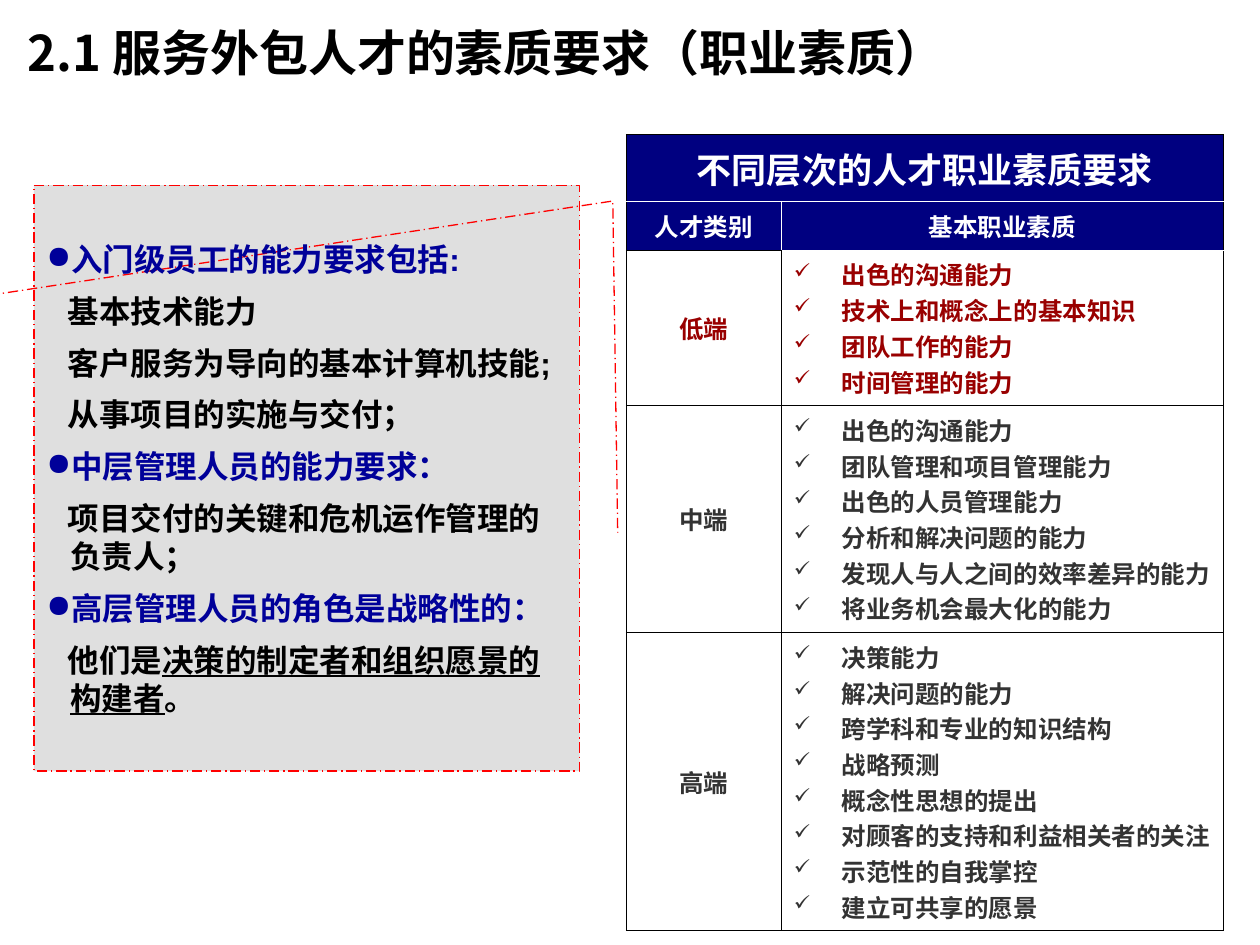
from lxml import etree
from pptx import Presentation, util as u
from pptx.dml.color import RGBColor
from pptx.enum import dml, shapes, text
from pptx.oxml.ns import qn

BLACK, WHITE, NAVY, BLUE = "000000", "FFFFFF", "000080", "000099"
RED, DARK_RED, GREY, SILVER = "FF0000", "990000", "333333", "C0C0C0"
SANS = "Noto Sans CJK SC"

ABILITIES = [
    (True, ["入门级员工的能力要求包括:"]),
    (False, ["基本技术能力"]),
    (False, ["客户服务为导向的基本计算机技能;"]),
    (False, ["从事项目的实施与交付；"]),
    (True, ["中层管理人员的能力要求："]),
    (False, ["项目交付的关键和危机运作管理的负责人；"]),
    (True, ["高层管理人员的角色是战略性的："]),
    (False, ["他们是", "决策的制定者和组织愿景的构建者", "。"]),
]
LEVELS = [
    ("低端", DARK_RED, ["出色的沟通能力", "技术上和概念上的基本知识",
                      "团队工作的能力", "时间管理的能力"]),
    ("中端", GREY, ["出色的沟通能力", "团队管理和项目管理能力", "出色的人员管理能力",
                  "分析和解决问题的能力", "发现人与人之间的效率差异的能力",
                  "将业务机会最大化的能力"]),
    ("高端", GREY, ["决策能力", "解决问题的能力", "跨学科和专业的知识结构", "战略预测",
                  "概念性思想的提出", "对顾客的支持和利益相关者的关注",
                  "示范性的自我掌控", "建立可共享的愿景"]),
]


def rgb(value):
    return RGBColor.from_string(value)


def add_element(parent, tag, **attributes):
    element = etree.SubElement(parent, qn(tag))
    for name, value in attributes.items():
        element.set(name, str(value))
    return element


def format_runs(paragraph, size, color, font=SANS, east_asian=SANS):
    for run in paragraph.runs:
        run.font.size = u.Pt(size)
        run.font.bold = True
        run.font.name = font
        run.font.color.rgb = rgb(color)
        add_element(run._r.get_or_add_rPr(), "a:ea", typeface=east_asian)


def set_indent(paragraph, margin, first_line):
    properties = paragraph._p.get_or_add_pPr()
    properties.set("marL", str(u.Inches(margin)))
    properties.set("indent", str(u.Inches(first_line)))


def add_bullet(paragraph, character, color, percent=100):
    properties = paragraph._p.get_or_add_pPr()
    add_element(add_element(properties, "a:buClr"), "a:srgbClr", val=color)
    add_element(properties, "a:buSzPct", val=percent * 1000)
    add_element(properties, "a:buChar", char=character)


def next_paragraph(frame, index):
    return frame.add_paragraph() if index else frame.paragraphs[0]


def add_title(slide, words):
    title = slide.shapes.title
    title.left, title.top = u.Inches(0.12), u.Inches(0.13)
    title.width, title.height = u.Inches(9.29), u.Inches(0.57)
    title.text_frame.text = words
    title.text_frame.vertical_anchor = text.MSO_ANCHOR.MIDDLE
    paragraph = title.text_frame.paragraphs[0]
    paragraph.alignment = text.PP_ALIGN.LEFT
    format_runs(paragraph, 28, BLACK)


def add_callout(slide):
    callout = slide.shapes.add_shape(
        shapes.MSO_SHAPE.LINE_CALLOUT_2,
        u.Inches(0.27), u.Inches(1.47), u.Inches(4.33), u.Inches(4.65))
    for index, value in enumerate([0.188, -0.083, 0.027, 1.061, 0.593, 1.07]):
        callout.adjustments[index] = value
    callout.shadow.inherit = False
    callout.fill.solid()
    callout.fill.fore_color.rgb = rgb(SILVER)
    fill_color = callout._element.spPr.find(qn("a:solidFill"))[0]
    add_element(fill_color, "a:alpha", val=50000)
    callout.line.color.rgb = rgb(RED)
    callout.line.width = u.Pt(0.75)
    callout.line.dash_style = dml.MSO_LINE.LONG_DASH_DOT

    frame = callout.text_frame
    frame.word_wrap = True
    frame.vertical_anchor = text.MSO_ANCHOR.MIDDLE
    for index, (heading, parts) in enumerate(ABILITIES):
        paragraph = next_paragraph(frame, index)
        paragraph.alignment = text.PP_ALIGN.LEFT
        paragraph.line_spacing = u.Pt(21.7)
        if index:
            paragraph.space_before = u.Pt(7.9)
        set_indent(paragraph, 0.19, -0.19 if heading else -0.02)
        if heading:
            add_bullet(paragraph, "●", BLUE)
        for part_index, part in enumerate(parts):
            run = paragraph.add_run()
            run.text = part
            if part_index == 1:
                run.font.underline = True
        format_runs(paragraph, 18, BLUE if heading else BLACK, "Arial", "Arial")


def style_cell(cell, fill=None, **white_sides):
    properties = cell._tc.get_or_add_tcPr()
    for side in "LRTB":
        line = add_element(properties, f"a:ln{side}", w=u.Pt(0.45))
        color = WHITE if white_sides.get(side) else BLACK
        add_element(add_element(line, "a:solidFill"), "a:srgbClr", val=color)
    cell.vertical_anchor = text.MSO_ANCHOR.MIDDLE
    if fill:
        cell.fill.solid()
        cell.fill.fore_color.rgb = rgb(fill)
    else:
        cell.fill.background()


def write_centred(cell, words, size, color, font=SANS):
    cell.text_frame.text = words
    paragraph = cell.text_frame.paragraphs[0]
    paragraph.alignment = text.PP_ALIGN.CENTER
    format_runs(paragraph, size, color, font)


def write_checklist(cell, items, color):
    for index, item in enumerate(items):
        paragraph = next_paragraph(cell.text_frame, index)
        paragraph.text = item
        set_indent(paragraph, 0.38, -0.38)
        add_bullet(paragraph, "✓", color, 85)
        format_runs(paragraph, 14, color)


def add_quality_table(slide):
    heights = [0.53, 0.34, 1.04, 1.5, 1.97]
    table = slide.shapes.add_table(
        len(heights), 2, u.Inches(4.97), u.Inches(1.07),
        u.Inches(4.74), u.Inches(sum(heights))).table
    table.first_row = table.horz_banding = False
    for column, width in zip(table.columns, [1.23, 3.51]):
        column.width = u.Inches(width)
    for row, height in zip(table.rows, heights):
        row.height = u.Inches(height)

    table.cell(0, 0).merge(table.cell(0, 1))
    for column in range(2):
        style_cell(table.cell(0, column), NAVY, B=True)
    write_centred(table.cell(0, 0), "不同层次的人才职业素质要求", 20, WHITE, "Karla")

    for column, heading in enumerate(["人才类别", "基本职业素质"]):
        cell = table.cell(1, column)
        style_cell(cell, NAVY, T=True, R=column == 0, L=column == 1, B=column == 1)
        write_centred(cell, heading, 14, WHITE)

    for row, (level, color, items) in enumerate(LEVELS, start=2):
        level_cell, items_cell = table.cell(row, 0), table.cell(row, 1)
        style_cell(level_cell)
        style_cell(items_cell, T=row == 2)
        write_centred(level_cell, level, 14, color)
        write_checklist(items_cell, items, color)


def main():
    presentation = Presentation()
    presentation.slide_width = u.Inches(10)
    presentation.slide_height = u.Inches(7.5)
    slide = presentation.slides.add_slide(presentation.slide_layouts[5])
    add_callout(slide)
    add_quality_table(slide)
    add_title(slide, "2.1 服务外包人才的素质要求（职业素质）")
    presentation.save("out.pptx")


if __name__ == "__main__":
    main()
